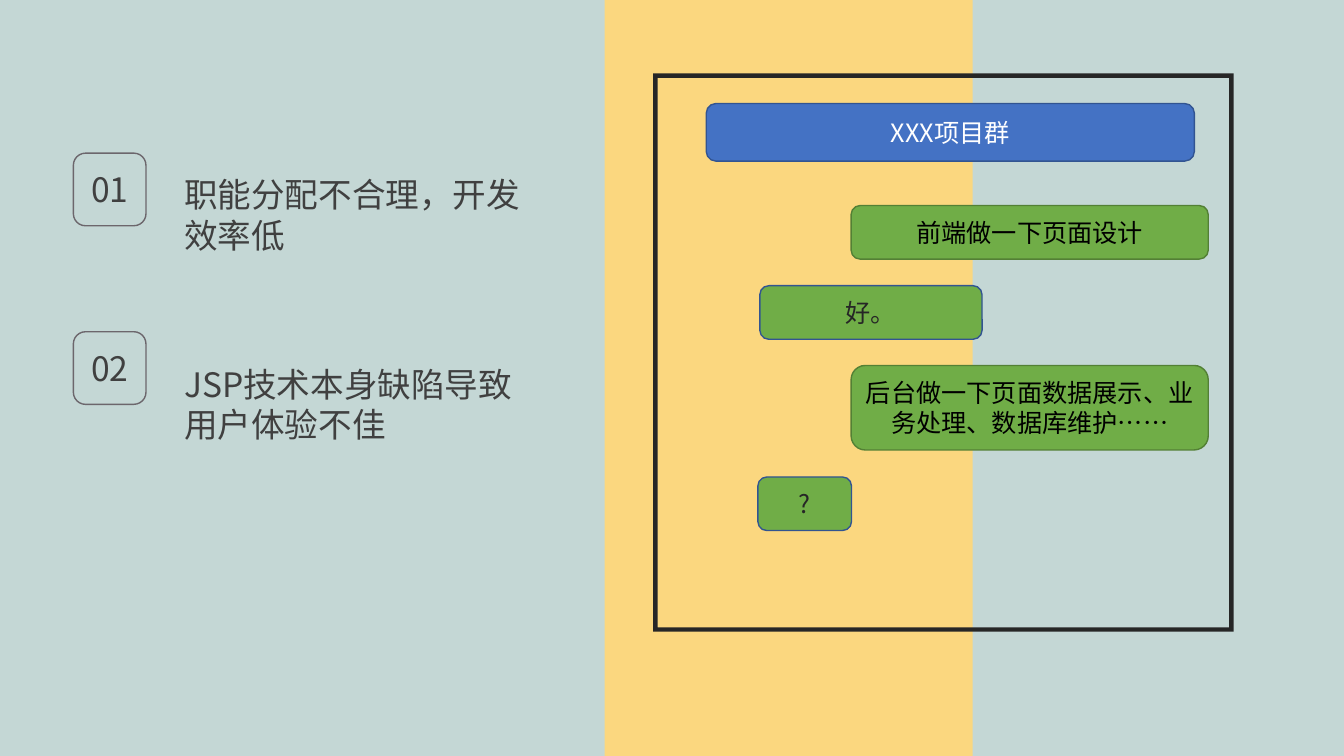
"""Build a slide on role problems in a project, with a mock group chat."""
from lxml import etree
from pptx import Presentation
from pptx.dml.color import RGBColor
from pptx.enum import shapes, text
from pptx.oxml.ns import qn
from pptx.util import Cm, Pt

FONT = "Noto Sans CJK SC"
MIST = RGBColor(0xC4, 0xD7, 0xD5)
YELLOW = RGBColor(0xFB, 0xD7, 0x7F)
GREEN = RGBColor(0x70, 0xAD, 0x47)
DARK_GREEN = RGBColor(0x53, 0x80, 0x35)
BLUE = RGBColor(0x44, 0x72, 0xC4)
DARK_BLUE = RGBColor(0x32, 0x54, 0x91)
GREY = RGBColor(0x6C, 0x66, 0x6C)
SLATE = RGBColor(0x40, 0x40, 0x40)
INK = RGBColor(0x26, 0x26, 0x26)
BLACK = RGBColor(0, 0, 0)
WHITE = RGBColor(0xFF, 0xFF, 0xFF)

deck = Presentation()
deck.slide_width, deck.slide_height = Cm(33.87), Cm(19.05)
page = deck.slides.add_slide(deck.slide_layouts[6])
page.background.fill.solid()
page.background.fill.fore_color.rgb = MIST


def add_block(kind, left, top, width, height, fill=None, line=None):
    block = page.shapes.add_shape(kind, Cm(left), Cm(top), Cm(width), Cm(height))
    block.shadow.inherit = False
    if fill is None:
        block.fill.background()
    else:
        block.fill.solid()
        block.fill.fore_color.rgb = fill
    if line is None:
        block.line.fill.background()
    else:
        block.line.color.rgb = line
        block.line.width = Pt(1)
    return block


def write(box, words, size, color, align):
    frame = box.text_frame
    frame.word_wrap = True
    frame.text = words
    para = frame.paragraphs[0]
    para.alignment = align
    span = para.runs[0]
    span.font.name = FONT
    span.font.size = Pt(size)
    span.font.color.rgb = color
    etree.SubElement(span.font._element, qn("a:ea"), typeface=FONT)


ROUNDED = shapes.MSO_SHAPE.ROUNDED_RECTANGLE
CENTER, LEFT = text.PP_ALIGN.CENTER, text.PP_ALIGN.LEFT

problems = [
    ("01", 3.86, "职能分配不合理，开发效率低", 4.27),
    ("02", 8.36, "JSP技术本身缺陷导致用户体验不佳", 9.04),
]
for number, badge_top, problem, text_top in problems:
    badge = add_block(ROUNDED, 1.85, badge_top, 1.83, 1.83, line=GREY)
    write(badge, number, 24, SLATE, CENTER)
    box = page.shapes.add_textbox(Cm(4.39), Cm(text_top), Cm(9.27), Cm(2.31))
    write(box, problem, 24, SLATE, LEFT)

add_block(shapes.MSO_SHAPE.RECTANGLE, 15.24, 0, 9.27, 19.05, YELLOW)
chat_frame = add_block(shapes.MSO_SHAPE.FRAME, 16.46, 1.85, 14.63, 14.07, INK)
chat_frame.adjustments[0] = 0.008

messages = [
    ("XXX项目群", 17.8, 2.61, 12.3, 1.45, BLUE, DARK_BLUE, WHITE),
    ("前端做一下页面设计", 21.45, 5.18, 9, 1.35, GREEN, DARK_GREEN, BLACK),
    ("好。", 19.15, 7.2, 5.6, 1.35, GREEN, DARK_BLUE, INK),
    ("后台做一下页面数据展示、业务处理、数据库维护……", 21.45, 9.21, 9, 2.13, GREEN, DARK_GREEN, BLACK),
    ("?", 19.1, 12.02, 2.36, 1.35, GREEN, DARK_BLUE, INK),
]
for words, left, top, width, height, fill, line, color in messages:
    bubble = add_block(ROUNDED, left, top, width, height, fill, line)
    write(bubble, words, 18, color, CENTER)

deck.save("out.pptx")
